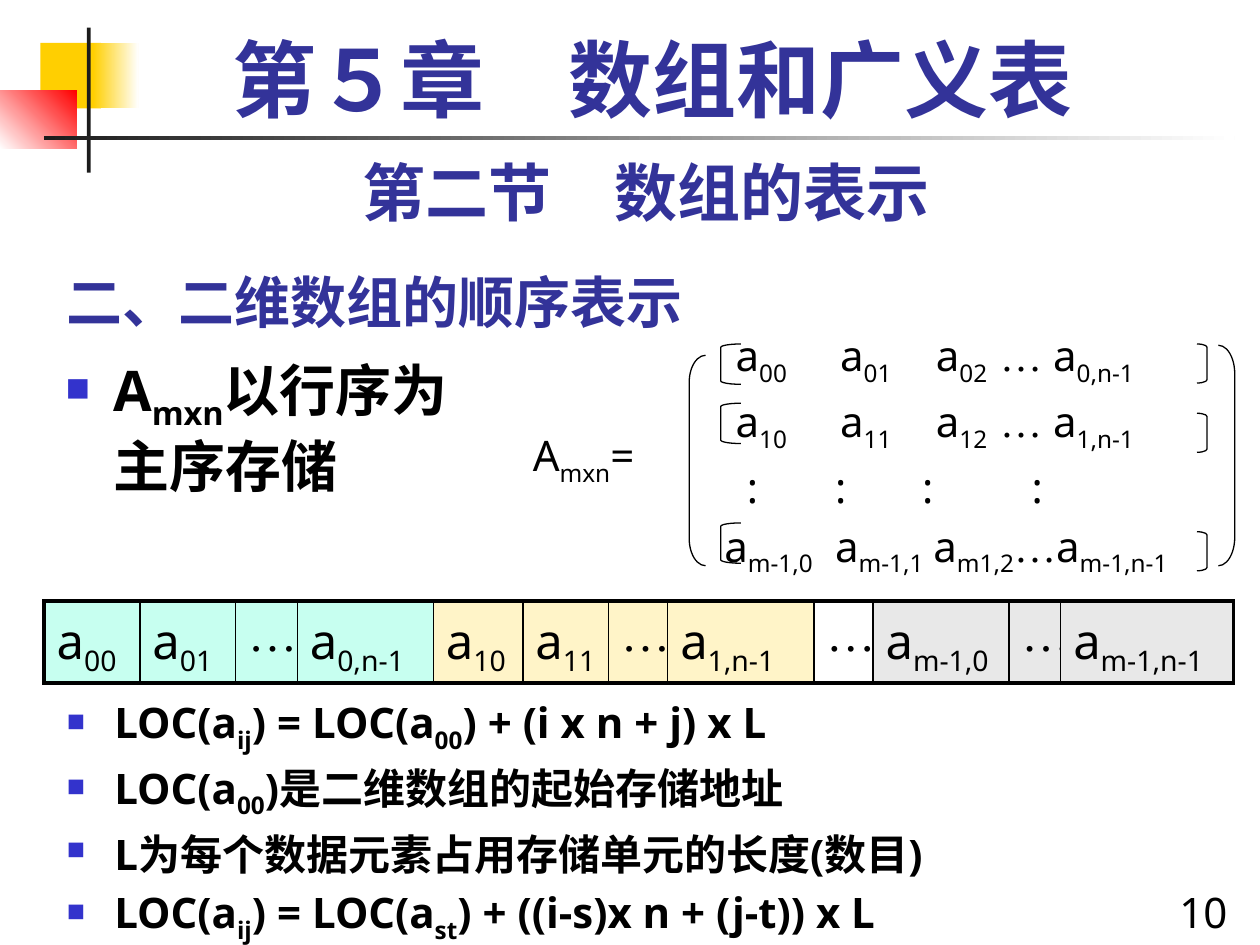
import pptx
import pptx.dml.color
import pptx.enum.lang
import pptx.enum.shapes
import pptx.enum.text
import pptx.oxml.ns
import pptx.util
from lxml import etree

PX = 9144  # EMU in one px, with 100 px to the inch
RGB = pptx.dml.color.RGBColor
SHAPE = pptx.enum.shapes.MSO_SHAPE
ALIGN = pptx.enum.text.PP_ALIGN
ANCHOR = pptx.enum.text.MSO_ANCHOR

NAVY = RGB(0x33, 0x33, 0x99)
BLUE = RGB(0x33, 0x33, 0xCC)
BLACK = RGB(0, 0, 0)
DARK = RGB(0x1C, 0x1C, 0x1C)
WHITE = RGB(0xFF, 0xFF, 0xFF)
GOLD = RGB(0xFF, 0xCF, 0x01)
RED = RGB(0xFF, 0, 0)
MINT = RGB(0xC7, 0xFF, 0xF0)
CREAM = RGB(0xFF, 0xF4, 0xC8)
GREY = RGB(0xE8, 0xE8, 0xE8)

SANS = "Noto Sans"
CJK = "Noto Sans CJK SC"
SERIF = "Times New Roman"


def px(*lengths):
    return [pptx.util.Emu(length * PX) for length in lengths]


def child(parent, tag, **attributes):
    """Append a drawing element to the parent."""
    node = etree.SubElement(parent, pptx.oxml.ns.qn("a:" + tag))
    for name, value in attributes.items():
        node.set(name, str(value))
    return node


def add_span(para, text, size, font, east, color, bold, sub):
    span = para.add_run()
    span.text = text
    span.font.size = pptx.util.Pt(size)
    span.font.name = SERIF if text == "…" else font
    span.font.bold = bold
    span.font.color.rgb = color
    span.font.language_id = pptx.enum.lang.MSO_LANGUAGE_ID.SIMPLIFIED_CHINESE
    properties = span.font._element
    if sub:
        properties.set("baseline", "-25000")
    if east:
        latin = properties.find(pptx.oxml.ns.qn("a:latin"))
        latin.addnext(child(properties, "ea", typeface=east))


def write(frame, lines, size=24, font=SANS, east=None, color=BLACK, bold=False,
          align=ALIGN.LEFT, before=0.2, leading=None, bullet=False, tabs=None):
    """Fill a text frame; _{x} sets x as a subscript, tabs holds one list per line."""
    for number, line in enumerate(lines):
        para = frame.paragraphs[0] if number == 0 else frame.add_paragraph()
        para.alignment = align
        para.space_before = pptx.util.Pt(round(before * size, 1))
        if leading:
            para.line_spacing = leading
        properties = para._p.get_or_add_pPr()
        if bullet:
            properties.set("marL", str(38 * PX))
            properties.set("indent", str(-38 * PX))
            child(child(properties, "buClr"), "srgbClr", val=BLUE)
            child(properties, "buSzPct", val=60000)
            child(properties, "buChar", char="■")
        if tabs:
            stops = child(properties, "tabLst")
            for stop in tabs[number]:
                child(stops, "tab", pos=stop * PX, algn="l")
        for index, part in enumerate(line.split("_{")):
            subscript, rest = part.split("}") if index else ("", part)
            if subscript:
                add_span(para, subscript, size, font, east, color, bold, True)
            for piece in rest.replace("…", "|…|").split("|"):
                if piece:
                    add_span(para, piece, size, font, east, color, bold, False)


def add_text(page, box, lines, **text_format):
    frame = page.shapes.add_textbox(*px(*box)).text_frame
    frame.word_wrap = True
    write(frame, lines, **text_format)


def add_bar(page, box, start, end=None, angle=0):
    bar = page.shapes.add_shape(SHAPE.RECTANGLE, *px(*box))
    bar.shadow.inherit = False
    bar.line.fill.background()
    if end is None:
        bar.fill.solid()
        bar.fill.fore_color.rgb = start
        return
    bar.fill.gradient()
    bar.fill.gradient_angle = angle
    for stop, color in zip(bar.fill.gradient_stops, (start, end)):
        stop.color.rgb = color


def add_bracket(page, kind, box, curve):
    bracket = page.shapes.add_shape(kind, *px(*box))
    bracket.shadow.inherit = False
    bracket.fill.background()
    bracket.line.color.rgb = BLACK
    bracket.line.width = pptx.util.Pt(0.75)
    bracket.adjustments[0] = curve


def add_ornament(page, left, top):
    add_bar(page, (left + 32, top + 12, 48, 52), GOLD)
    add_bar(page, (left + 74, top + 12, 36, 52), GOLD, WHITE)
    add_bar(page, (left, top + 50, 61, 46), WHITE, RED, angle=45)
    add_bar(page, (left + 69, top, 3, 115), DARK)
    add_bar(page, (left + 35, top + 86, 945, 3), DARK, WHITE)


def add_headings(page, left, top):
    add_text(page, (left + 21, top, 908, 83), ["第５章　数组和广义表"], size=48,
             font=SERIF, east=CJK, color=NAVY, bold=True, align=ALIGN.CENTER, leading=0.9)
    add_text(page, (left + 7, top + 91, 925, 70), ["第二节　数组的表示"], size=36,
             east=CJK, color=NAVY, bold=True, align=ALIGN.CENTER, before=0.5)
    title = page.shapes.title
    title.left, title.top, title.width, title.height = px(left, top + 170, 625, 75)
    title.text_frame.vertical_anchor = ANCHOR.BOTTOM
    write(title.text_frame, ["二、二维数组的顺序表示"], size=32, east=CJK,
          color=NAVY, bold=True, before=0)


def add_matrix(page, left, top):
    add_text(page, (left, top + 79, 118, 50), ["A_{mxn}="], before=0.5)
    # Outer brackets, then a pair for each written row
    add_bracket(page, SHAPE.LEFT_BRACKET, (left + 134, top + 25, 13, 167), 1.67)
    add_bracket(page, SHAPE.RIGHT_BRACKET, (left + 554, top + 17, 13, 175), 1.75)
    for left_top, right_top in ((16, 16), (63, 71), (158, 165)):
        add_bracket(page, SHAPE.LEFT_BRACKET, (left + 159, top + left_top, 16, 32), 0.17)
        add_bracket(page, SHAPE.RIGHT_BRACKET, (left + 537, top + right_top, 8, 31), 0.33)
    rows = [f"\ta_{{{i}0}}\ta_{{{i}1}}\ta_{{{i}2}}\t… a_{{{i},n-1}}" for i in (0, 1)]
    rows += ["\t:\t:\t:\t:", "\ta_{m-1,0}\ta_{m-1,1}\ta_{m1,2}…a_{m-1,n-1}"]
    entry_tabs = [18, 101, 177, 228]
    add_text(page, (left + 143, top, 417, 194), rows,
             tabs=[entry_tabs, entry_tabs, [27, 97, 166, 253], [9, 97, 175]])


def add_storage(page, left, top):
    """Row of memory cells: subscript (or ellipsis), width and fill."""
    cells = [("00", 76, MINT), ("01", 76, MINT), ("…", 49, MINT), ("0,n-1", 108, MINT),
             ("10", 71, CREAM), ("11", 68, CREAM), ("…", 47, CREAM), ("1,n-1", 116, CREAM),
             ("…", 47, None), ("m-1,0", 108, GREY), ("…", 41, GREY), ("m-1,n-1", 137, GREY)]
    width = sum(cell[1] for cell in cells)
    table = page.shapes.add_table(1, len(cells), *px(left, top, width, 65)).table
    table.first_row = table.horz_banding = False
    last = len(cells) - 1
    for index, (label, cell_width, color) in enumerate(cells):
        table.columns[index].width = px(cell_width)[0]
        cell = table.cell(0, index)
        write(cell.text_frame, [label if label == "…" else f"a_{{{label}}}"],
              size=28, east=CJK)
        weights = {"lnL": 1 if index else 2.25, "lnR": 1 if index < last else 2.25,
                   "lnT": 2.25, "lnB": 2.25}
        for tag, weight in weights.items():
            border = child(cell._tc.get_or_add_tcPr(), tag, w=int(weight * 12700))
            child(child(border, "solidFill"), "srgbClr", val=BLACK)
        if color is None:
            cell.fill.background()
        else:
            cell.fill.solid()
            cell.fill.fore_color.rgb = color


def add_formulas(page, left, top):
    add_text(page, (left, top, 957, 194), [
        "LOC(a_{ij}) = LOC(a_{00}) + (i x n + j) x L",
        "LOC(a_{00})是二维数组的起始存储地址",
        "L为每个数据元素占用存储单元的长度(数目)",
        "LOC(a_{ij}) = LOC(a_{st}) + ((i-s)x n + (j-t)) x L",
    ], east=CJK, bold=True, bullet=True)


def main():
    deck = pptx.Presentation()
    deck.slide_width, deck.slide_height = px(1000, 750)
    page = deck.slides.add_slide(deck.slide_layouts[5])
    add_ornament(page, 0, 22)
    add_headings(page, 43, 26)
    add_text(page, (42, 277, 332, 208), ["A_{mxn}以行序为主序存储"], size=32,
             east=CJK, bold=True, before=0.5, bullet=True)
    add_matrix(page, 413, 257)
    add_storage(page, 35, 477)
    add_formulas(page, 43, 548)
    # Page number
    add_text(page, (917, 699, 67, 50), ["10"], align=ALIGN.RIGHT, before=0.5)
    deck.save("out.pptx")


if __name__ == "__main__":
    main()
